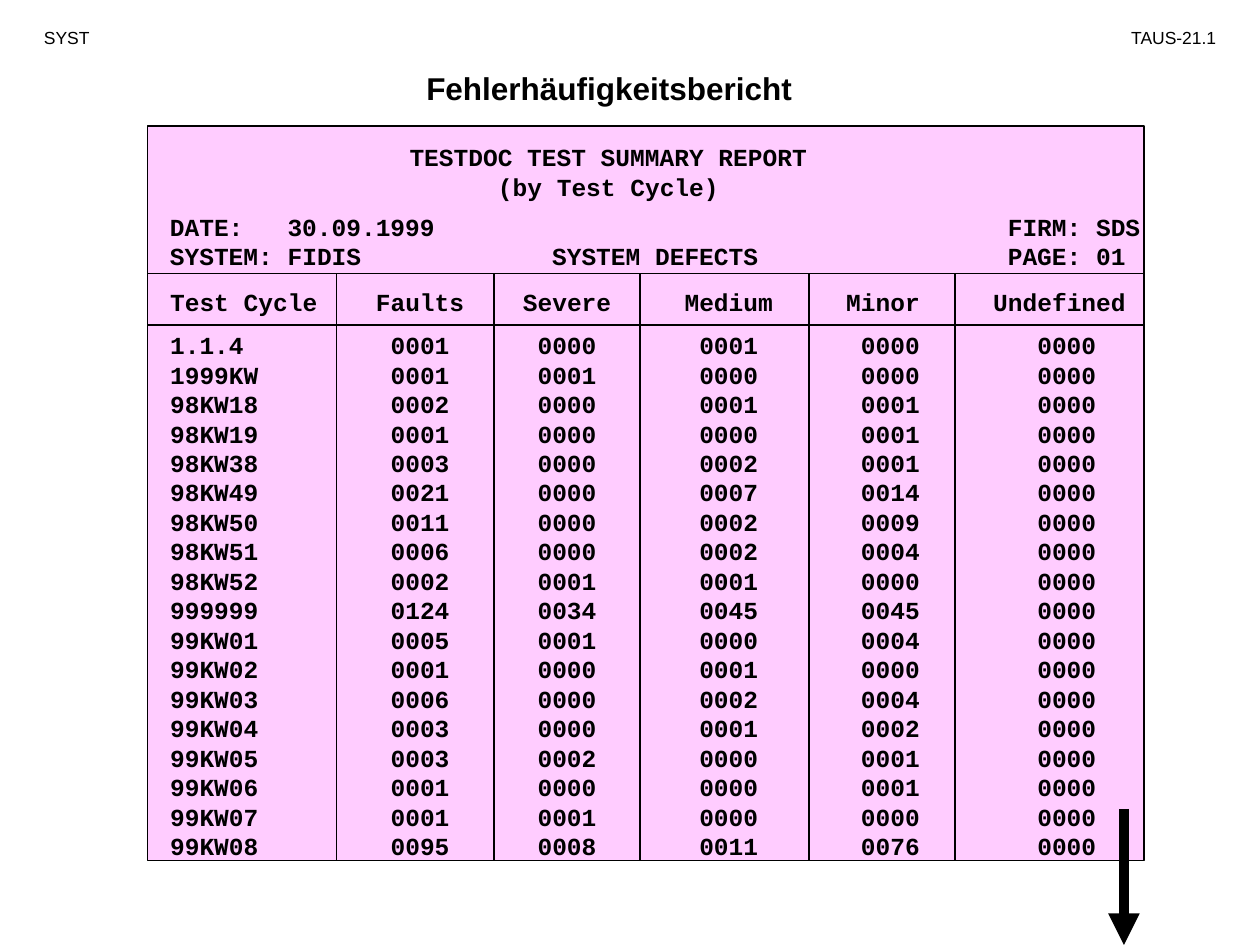
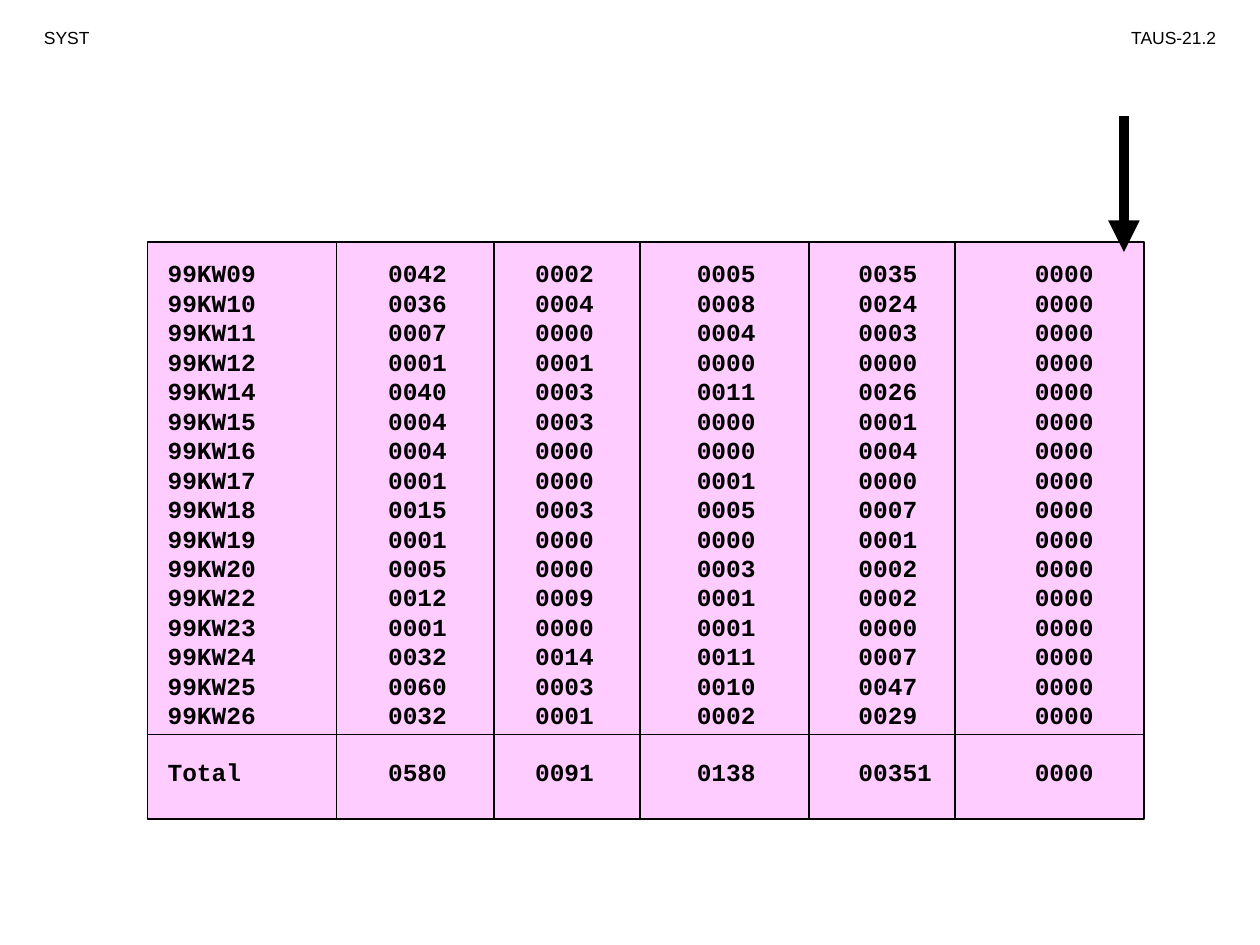
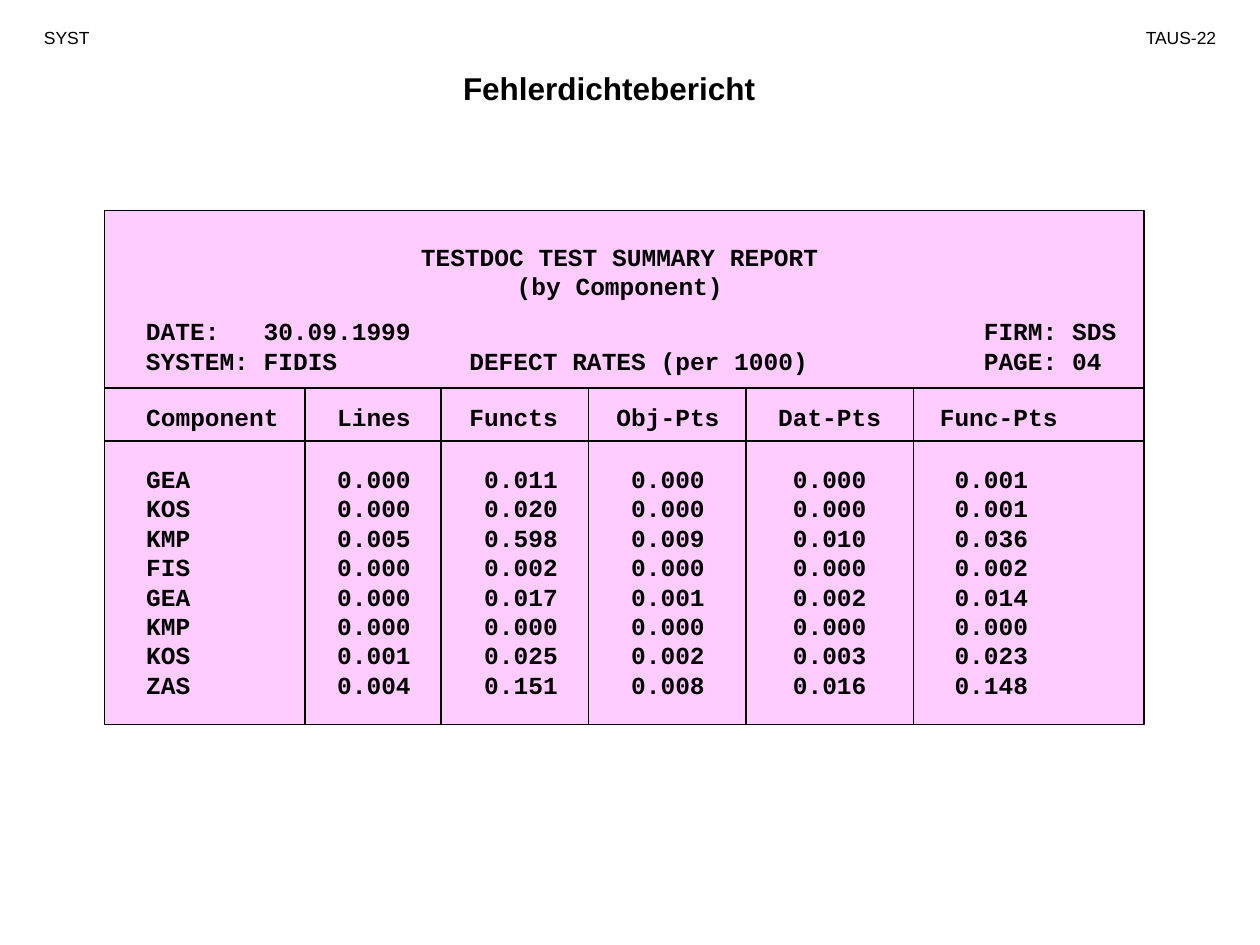
"""Builds three slides of test summary reports."""
from lxml.etree import SubElement as Sub
from pptx import Presentation
from pptx.dml.color import RGBColor as Rgb
from pptx.enum.shapes import MSO_CONNECTOR as Conn, MSO_SHAPE as Shape
from pptx.enum.text import MSO_ANCHOR as Anchor, PP_ALIGN as Align
from pptx.oxml.ns import qn
from pptx.util import Emu, Inches, Pt

HUE = {"ink": "000000", "panel": "FFCCFF"}
SANS, MONO = "Arial", "Courier New"
SIZE = 14
CHAR = SIZE * 0.6 / 72
PITCH = SIZE * 1.2 / 72
WIDE = (1.17, 2.67, 3.92, 5.08, 6.42, 7.58, 9.08)
SLIM = (0.83, 2.42, 3.5, 4.67, 5.92, 7.25, 9.08)
COUNTS = (0, 15, 25, 36, 47, 59)
FIRM = 57
HEAD, TOTAL = 0.42, 0.67

FIRST = """
1.1.4 0001 0000 0001 0000 0000
1999KW 0001 0001 0000 0000 0000
98KW18 0002 0000 0001 0001 0000
98KW19 0001 0000 0000 0001 0000
98KW38 0003 0000 0002 0001 0000
98KW49 0021 0000 0007 0014 0000
98KW50 0011 0000 0002 0009 0000
98KW51 0006 0000 0002 0004 0000
98KW52 0002 0001 0001 0000 0000
999999 0124 0034 0045 0045 0000
99KW01 0005 0001 0000 0004 0000
99KW02 0001 0000 0001 0000 0000
99KW03 0006 0000 0002 0004 0000
99KW04 0003 0000 0001 0002 0000
99KW05 0003 0002 0000 0001 0000
99KW06 0001 0000 0000 0001 0000
99KW07 0001 0001 0000 0000 0000
99KW08 0095 0008 0011 0076 0000
"""
SECOND = """
99KW09 0042 0002 0005 0035 0000
99KW10 0036 0004 0008 0024 0000
99KW11 0007 0000 0004 0003 0000
99KW12 0001 0001 0000 0000 0000
99KW14 0040 0003 0011 0026 0000
99KW15 0004 0003 0000 0001 0000
99KW16 0004 0000 0000 0004 0000
99KW17 0001 0000 0001 0000 0000
99KW18 0015 0003 0005 0007 0000
99KW19 0001 0000 0000 0001 0000
99KW20 0005 0000 0003 0002 0000
99KW22 0012 0009 0001 0002 0000
99KW23 0001 0000 0001 0000 0000
99KW24 0032 0014 0011 0007 0000
99KW25 0060 0003 0010 0047 0000
99KW26 0032 0001 0002 0029 0000
"""
RATES = """
GEA 0.000 0.011 0.000 0.000 0.001
KOS 0.000 0.020 0.000 0.000 0.001
KMP 0.005 0.598 0.009 0.010 0.036
FIS 0.000 0.002 0.000 0.000 0.002
GEA 0.000 0.017 0.001 0.002 0.014
KMP 0.000 0.000 0.000 0.000 0.000
KOS 0.001 0.025 0.002 0.003 0.023
ZAS 0.004 0.151 0.008 0.016 0.148
"""

PAGES = [
    {"code": "TAUS-21.1", "title": "Fehlerhäufigkeitsbericht",
     "cols": WIDE, "top": 1, "end": 6.83, "left": 1.35, "pad": 0.05,
     "band": {"at": (3.08, 1.08), "by": "(by Test Cycle)", "info": 1.63,
              "topic": "SYSTEM DEFECTS", "mid": 26, "page": "01"},
     "head": ("Test Cycle", "Faults", "Severe", "Medium", "Minor", "Undefined"),
     "grid": 2.17, "rules": (2.17, 2.58), "slots": (0, 14, 24, 35, 46, 56),
     "rows": FIRST, "places": COUNTS, "arrow": 6.42},
    {"code": "TAUS-21.2",
     "cols": WIDE, "top": 1.92, "end": 6.5, "left": 1.33, "pad": 0.15,
     "grid": 1.92, "rules": (5.83,), "rows": SECOND, "places": COUNTS,
     "total": ("Total", "0580", "0091", "0138", "00351", "0000"),
     "arrow": 0.92},
    {"code": "TAUS-22", "title": "Fehlerdichtebericht",
     "cols": SLIM, "top": 1.67, "end": 5.75, "left": 1.16, "pad": 0.2,
     "band": {"at": (3.17, 1.87), "by": "(by Component)", "info": 2.46,
              "topic": "DEFECT RATES (per 1000)", "mid": 22, "page": "04"},
     "head": ("Component", "Lines", "Functs", "Obj-Pts", "Dat-Pts", "Func-Pts"),
     "grid": 3.08, "rules": (3.08, 3.5), "slots": (0, 13, 22, 32, 43, 54),
     "rows": RATES, "places": (0, 13, 23, 33, 44, 55)},
]


def write(para, text, font=MONO, size=SIZE, bold=True, align=Align.LEFT, tabs=()):
    para.alignment = align
    para.space_before = Pt(0)
    if font == MONO:
        para.line_spacing = Pt(PITCH * 72)
    if tabs:
        stops = Sub(para._p.get_or_add_pPr(), qn("a:tabLst"))
        for slot in tabs:
            Sub(stops, qn("a:tab"), pos=str(Inches(slot * CHAR)), algn="l")
    run = para.add_run()
    run.text = text
    run.font.name, run.font.size, run.font.bold = font, Pt(size), bold
    run.font.color.rgb = Rgb.from_string(HUE["ink"])


def label(slide, at, lines, anchor=Anchor.TOP, **look):
    frame = slide.shapes.add_textbox(*map(Inches, at)).text_frame
    frame.word_wrap = True
    frame.vertical_anchor = anchor
    for i, (text, tabs) in enumerate(lines):
        para = frame.add_paragraph() if i else frame.paragraphs[0]
        write(para, text, tabs=tabs, **look)


def draw(slide, start, end, width=0.75, tip=False):
    link = slide.shapes.add_connector(
        Conn.STRAIGHT, *map(Inches, (*start, *end)))
    link.line.color.rgb = Rgb.from_string(HUE["ink"])
    link.line.width = Pt(width)
    if tip:
        Sub(link.line._get_or_add_ln(), qn("a:tailEnd"), type="triangle")
    Sub(link._element.spPr, qn("a:effectLst"))


def panel(slide, page):
    left, right = page["cols"][0], page["cols"][-1]
    box = slide.shapes.add_shape(
        Shape.RECTANGLE, Inches(left), Inches(page["top"]),
        Inches(right - left), Inches(page["end"] - page["top"]))
    box.shadow.inherit = False
    box.fill.solid()
    box.fill.fore_color.rgb = Rgb.from_string(HUE["panel"])
    box.line.color.rgb = Rgb.from_string(HUE["ink"])
    box.line.width = Pt(0.75)


def banner(slide, left, band):
    label(slide, (*band["at"], 3.5, 0.57),
          [("TESTDOC TEST SUMMARY REPORT", ()), (band["by"], ())],
          align=Align.CENTER)
    label(slide, (left - 0.1, band["info"], 8.08, 0.57),
          [("DATE:\t30.09.1999\tFIRM: SDS", (8, FIRM)),
           (f"SYSTEM: FIDIS\t{band['topic']}\tPAGE: {band['page']}",
            (band["mid"], FIRM))])


def layout(page):
    """Lists each row as cells, slots, height, anchor and bottom margin."""
    data = [row.split() for row in page["rows"].strip().splitlines()]
    rows = [[row, page["places"], PITCH, Anchor.BOTTOM, 0] for row in data]
    first, last = rows[0], rows[-1]
    first[2] += page["pad"]
    if "head" in page:
        rows.insert(0, [page["head"], page["slots"], HEAD, Anchor.BOTTOM, 0.06])
    if "total" in page:
        rows.append([page["total"], page["places"], TOTAL, Anchor.MIDDLE, 0.05])
    slack = page["end"] - page["grid"] - sum(row[2] for row in rows)
    last[2] += max(slack, 0)
    last[3] = Anchor.TOP
    return rows


def grid(slide, page):
    rows, cols = layout(page), page["cols"]
    count = len(cols) - 1
    table = slide.shapes.add_table(
        len(rows), count, Inches(cols[0]), Inches(page["grid"]),
        Inches(cols[-1] - cols[0]), Inches(page["end"] - page["grid"])).table
    table.first_row = table.horz_banding = False
    for c in range(count):
        table.columns[c].width = Inches(cols[c + 1] - cols[c])
    for r, (texts, slots, high, anchor, foot) in enumerate(rows):
        table.rows[r].height = Inches(high)
        for c, (text, slot) in enumerate(zip(texts, slots)):
            cell = table.cell(r, c)
            cell.margin_left = Inches(page["left"] + slot * CHAR - cols[c])
            cell.margin_right = cell.margin_top = Emu(0)
            cell.margin_bottom = Inches(foot)
            cell.vertical_anchor = anchor
            for side in ("lnL", "lnR", "lnT", "lnB"):
                edge = Sub(cell._tc.get_or_add_tcPr(), qn("a:" + side))
                Sub(edge, qn("a:noFill"))
            cell.fill.background()
            write(cell.text_frame.paragraphs[0], text)
    for y in page["rules"]:
        draw(slide, (cols[0], y), (cols[-1], y))
    for x in cols[1:-1]:
        draw(slide, (x, page["grid"]), (x, page["end"]))


def heading(slide, text):
    box = slide.shapes.title
    box.left, box.top = Inches(0.75), Inches(0.5)
    box.width, box.height = Inches(8.17), Inches(0.4)
    box.text_frame.vertical_anchor = Anchor.MIDDLE
    write(box.text_frame.paragraphs[0], text, SANS, 18, align=Align.CENTER)


def main():
    deck = Presentation()
    deck.slide_width, deck.slide_height = Inches(10), Inches(7.5)
    small = {"font": SANS, "size": 10, "bold": False, "anchor": Anchor.MIDDLE}
    for page in PAGES:
        slide = deck.slides.add_slide(deck.slide_layouts[5 if "title" in page else 6])
        panel(slide, page)
        if "title" in page:
            heading(slide, page["title"])
        label(slide, (0.25, 0.16, 0.92, 0.27), [("SYST", ())], **small)
        label(slide, (8.67, 0.16, 1.08, 0.27), [(page["code"], ())],
              align=Align.RIGHT, **small)
        if "band" in page:
            banner(slide, page["left"], page["band"])
        grid(slide, page)
        if "arrow" in page:
            top = page["arrow"]
            draw(slide, (8.92, top), (8.92, top + 1.08), 6, True)
    deck.save("out.pptx")


if __name__ == "__main__":
    main()
